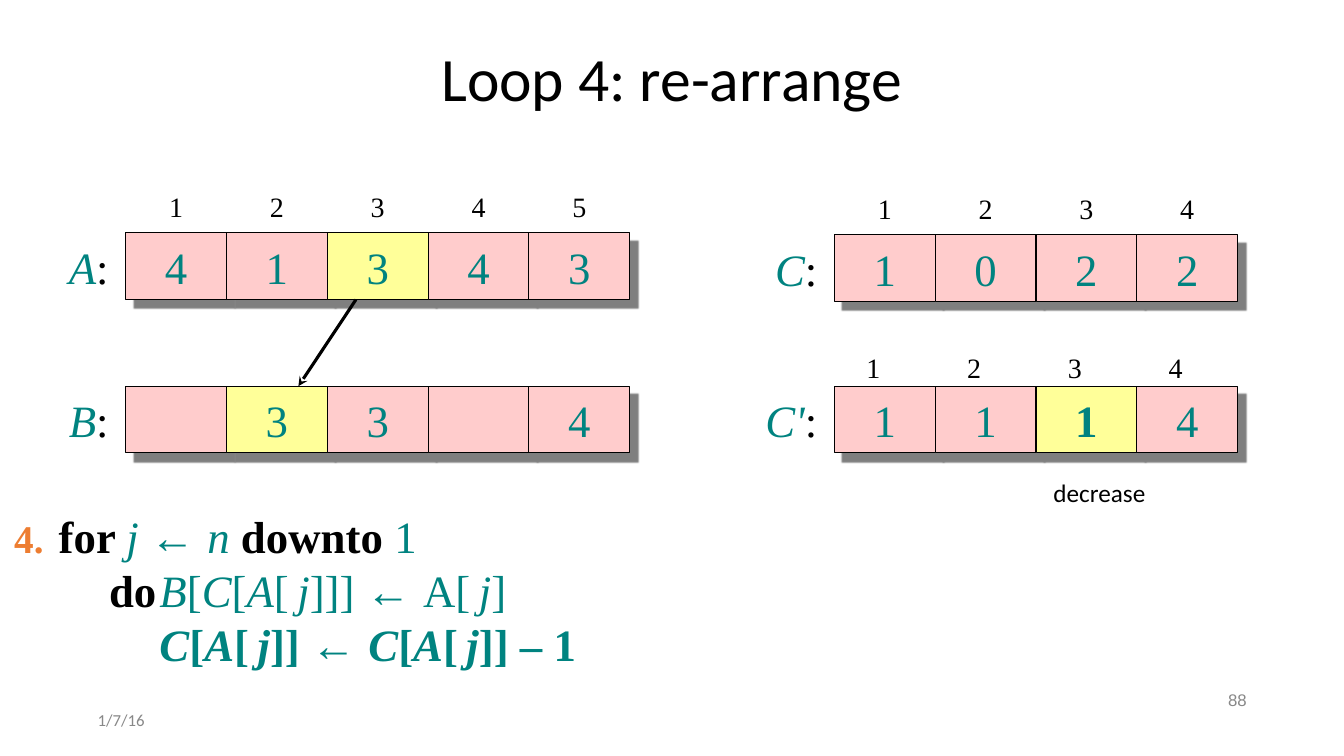
import pptx
import pptx.dml.color
import pptx.enum.shapes
import pptx.enum.text
import pptx.oxml
import pptx.util
from pptx.util import Cm

ALIGN = pptx.enum.text.PP_ALIGN
ANCHOR = pptx.enum.text.MSO_ANCHOR
NS = 'xmlns:a="http://schemas.openxmlformats.org/drawingml/2006/main"'


class Theme:
    black, teal, orange, gray = "000000", "008380", "ED7D31", "888888"
    pink, yellow, shadow = "FFCCCC", "FFFF99", "808080"
    serif, sans, symbol = "Times New Roman", "Calibri", "Arial"
    title, body, step, gap, index, note, footer = 44, 32, 28, 24, 20, 18, 12


def add_run(p, text, size=Theme.body, color=Theme.teal, font=Theme.serif, bold=False, italic=False):
    r = p.add_run()
    r.text = text
    r.font.size = pptx.util.Pt(size)
    r.font.name = font
    r.font.bold = bold
    r.font.italic = italic
    r.font.color.rgb = pptx.dml.color.RGBColor.from_string(color)


def frame(sp, align=ALIGN.LEFT, anchor=ANCHOR.TOP, wrap=True):
    tf = sp.text_frame
    tf.word_wrap = wrap
    tf.vertical_anchor = anchor
    tf.margin_left = tf.margin_right = tf.margin_top = tf.margin_bottom = Cm(0.13)
    tf.paragraphs[0].alignment = align
    return tf.paragraphs[0]


prs = pptx.Presentation()
prs.slide_width, prs.slide_height = Cm(33.87), Cm(19.05)
slide = prs.slides.add_slide(prs.slide_layouts[6])
shapes = slide.shapes

# Title
p = frame(shapes.add_textbox(Cm(2.33), Cm(0.79), Cm(29.21), Cm(2.54)), ALIGN.CENTER, ANCHOR.MIDDLE)
p.line_spacing = 0.9
add_run(p, "Loop 4: re-arrange", Theme.title, Theme.black, Theme.sans)

# Arrays: name, label width, left, top, values, marked cell, index offset (x, y)
cell_w, cell_h = 2.56, 1.68
cell_w = 2.54
arrays = [
    ("A", 1.3, 3.17, 5.87, ["4", "1", "3", "4", "3"], 2, (0, -1.22)),
    ("B", 1.3, 3.17, 9.73, ["", "3", "3", "", "4"], 1, None),
    ("C", 1.35, 21.03, 5.92, ["1", "0", "2", "2"], None, (0, -1.22)),
    ("C'", 1.6, 21.03, 9.73, ["1", "1", "1", "4"], 2, (-0.29, -1.02)),
]
for name, label_w, left, top, values, marked, offset in arrays:
    label = shapes.add_textbox(Cm(left - 0.3 - label_w), Cm(top + 0.03), Cm(label_w), Cm(1.52))
    p = frame(label, ALIGN.RIGHT, wrap=False)
    add_run(p, name, italic=True)
    add_run(p, ":", color=Theme.black)

    for i, value in enumerate(values):
        x = left + i * cell_w
        sp = shapes.add_shape(pptx.enum.shapes.MSO_SHAPE.RECTANGLE, Cm(x), Cm(top), Cm(cell_w), Cm(cell_h))
        sp.fill.solid()
        sp.fill.fore_color.rgb = pptx.dml.color.RGBColor.from_string(
            Theme.yellow if i == marked else Theme.pink)
        sp.line.color.rgb = pptx.dml.color.RGBColor.from_string(Theme.black)
        sp.line.width = pptx.util.Pt(0.75)
        sp.element.spPr.append(pptx.oxml.parse_xml(
            f'<a:effectLst {NS}><a:outerShdw blurRad="12700" dist="107950" dir="2700000" '
            f'algn="ctr" rotWithShape="0"><a:srgbClr val="{Theme.shadow}"/></a:outerShdw></a:effectLst>'))
        p = frame(sp, ALIGN.CENTER, ANCHOR.MIDDLE)
        if value:
            add_run(p, value, bold=(name == "C'" and i == marked))
        if offset:
            dx, dy = offset
            index = shapes.add_textbox(Cm(x + dx), Cm(top + dy), Cm(cell_w), Cm(1.04))
            add_run(frame(index, ALIGN.CENTER), str(i + 1), Theme.index, Theme.black)

# Arrow from A to B
arrow = shapes.add_connector(pptx.enum.shapes.MSO_CONNECTOR.STRAIGHT, Cm(8.97), Cm(7.55), Cm(7.52), Cm(9.73))
arrow.line.color.rgb = pptx.dml.color.RGBColor.from_string(Theme.black)
arrow.line.width = pptx.util.Pt(2.25)
arrow.line._get_or_add_ln().append(pptx.oxml.parse_xml(f'<a:tailEnd {NS} type="stealth"/>'))
arrow.element.spPr.append(pptx.oxml.parse_xml(f"<a:effectLst {NS}/>"))

# Pseudocode
keyword = dict(color=Theme.black, bold=True)
var = dict(italic=True)
plain = dict()
symbol = dict(font=Theme.symbol)
gap = dict(size=Theme.gap)
strong = dict(bold=True)
strong_var = dict(bold=True, italic=True)
strong_gap = dict(size=Theme.gap, bold=True)
strong_item = [("C", strong_var), ("[", strong), ("A", strong_var), ("[", strong),
               (" ", strong_gap), ("j", strong_var)]
code = [
    [("for ", keyword), ("j ", var), ("← ", symbol), ("n ", var), ("downto ", keyword), ("1", plain)],
    [("do\t", keyword), ("B", var), ("[", plain), ("C", var), ("[", plain), ("A", var), ("[", plain),
     (" ", gap), ("j", var), ("]]] ", plain), ("← ", symbol), ("A[", plain), (" ", gap), ("j", var),
     ("]", plain)],
    [("\t", plain), *strong_item, ("]] ", strong), ("← ", symbol), *strong_item, ("]] – 1", strong)],
]
sp = shapes.add_textbox(Cm(1.35), Cm(12.7), Cm(31.19), Cm(4.39))
p = frame(sp)
for n, line in enumerate(code):
    if n:
        p = sp.text_frame.add_paragraph()
    pPr = p._p.get_or_add_pPr()
    pPr.set("marL", "0")
    pPr.set("indent", str(Cm(1.27) if n else 0))
    pPr.append(pptx.oxml.parse_xml(
        f'<a:tabLst {NS}><a:tab pos="{Cm(2.69)}" algn="l"/><a:tab pos="{Cm(13.94)}" algn="l"/></a:tabLst>'))
    for text, style in line:
        add_run(p, text, **style)

# Step number, remark, date and slide number
notes = [
    ("4.", 0.23, 12.83, 3.17, 1.35, ALIGN.LEFT, ANCHOR.TOP,
     dict(size=Theme.step, color=Theme.orange, bold=True)),
    ("decrease", 26.42, 11.91, 2.62, 1.04, ALIGN.LEFT, ANCHOR.TOP,
     dict(size=Theme.note, color=Theme.black, font=Theme.sans)),
    ("1/7/16", 2.33, 17.78, 7.62, 0.74, ALIGN.LEFT, ANCHOR.MIDDLE,
     dict(size=Theme.footer, color=Theme.gray, font=Theme.sans)),
    ("88", 23.93, 17.27, 7.62, 0.74, ALIGN.RIGHT, ANCHOR.MIDDLE,
     dict(size=Theme.footer, color=Theme.gray, font=Theme.symbol)),
]
for text, x, y, w, h, align, anchor, style in notes:
    box = shapes.add_textbox(Cm(x), Cm(y), Cm(w), Cm(h))
    add_run(frame(box, align, anchor, wrap=text != "decrease"), text, **style)

prs.save("out.pptx")
